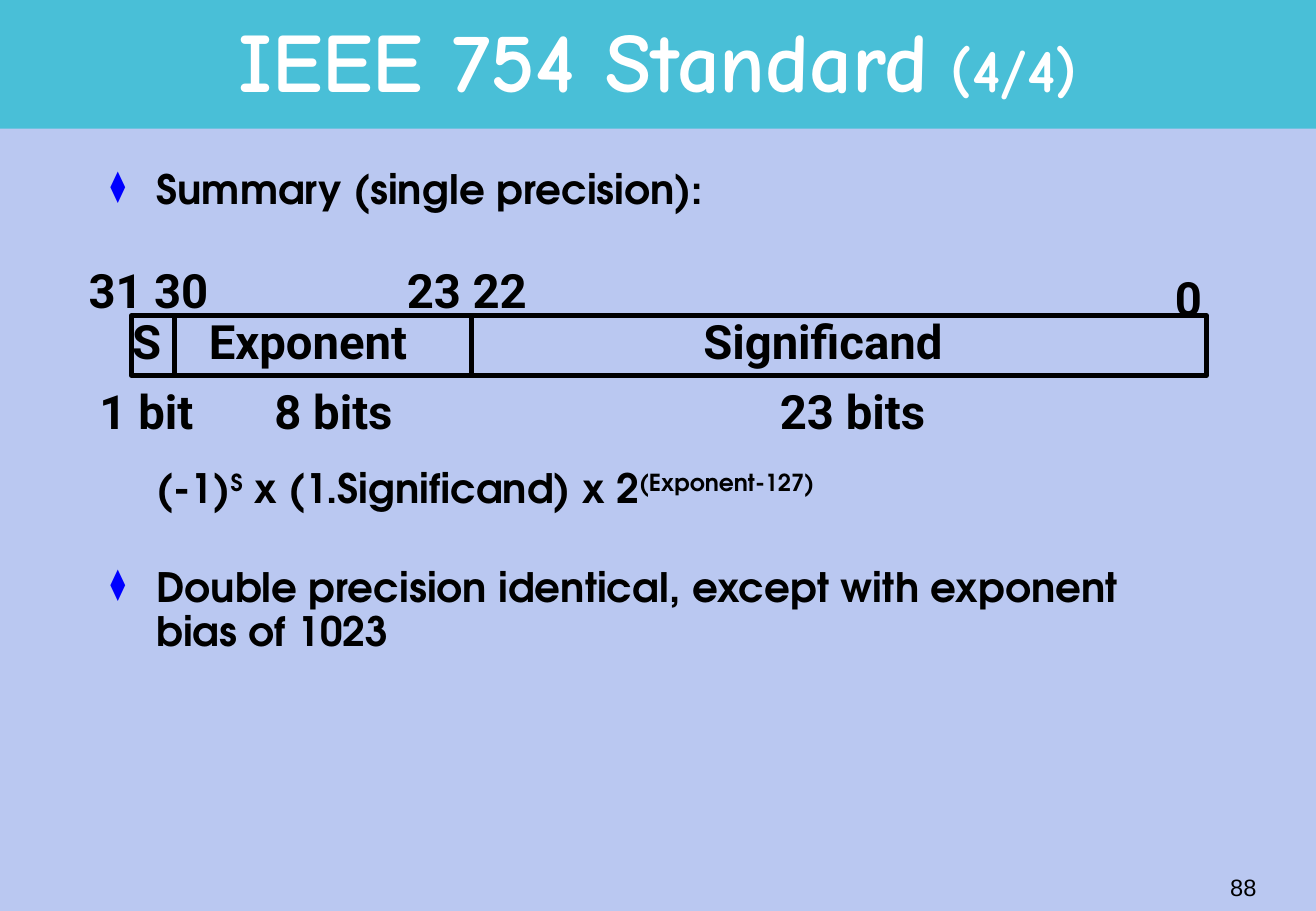
import pptx
import pptx.dml.color
import pptx.enum.shapes
import pptx.enum.text
import pptx.oxml.ns
import pptx.util
from lxml import etree

SCALE = 9144  # 100 px to the inch
WIDTH, HEIGHT = 1083, 750
ALIGN = pptx.enum.text.PP_ALIGN
ANCHOR = pptx.enum.text.MSO_ANCHOR
HEADING, BODY, LABEL = "Comic Neue", "TeX Gyre Adventor", "Roboto"


def px(length):
    return pptx.util.Emu(length * SCALE)


def color(value):
    return pptx.dml.color.RGBColor.from_string(value)


def add_box(page, box, anchor=ANCHOR.TOP, wrap=True):
    frame = page.shapes.add_textbox(*map(px, box)).text_frame
    frame.word_wrap = wrap
    frame.vertical_anchor = anchor
    return frame


def add_text(para, text, font=BODY, size=24, fill="000000", bold=True, raised=False):
    span = para.add_run()
    span.text = text
    span.font.name = font
    span.font.size = pptx.util.Pt(size)
    span.font.bold = bold
    span.font.color.rgb = color(fill)
    if raised:
        span._r.get_or_add_rPr().set("baseline", "30000")


def add_rectangle(page, box, fill=None, line=None):
    shape = page.shapes.add_shape(pptx.enum.shapes.MSO_SHAPE.RECTANGLE, *map(px, box))
    shape.shadow.inherit = False
    if fill:
        shape.fill.solid()
        shape.fill.fore_color.rgb = color(fill)
    else:
        shape.fill.background()
    if line:
        shape.line.color.rgb = color(line)
        shape.line.width = pptx.util.Pt(3)
    else:
        shape.line.fill.background()


def add_divider(page, x, top, height):
    line = page.shapes.add_connector(
        pptx.enum.shapes.MSO_CONNECTOR.STRAIGHT, px(x), px(top), px(x), px(top + height))
    line.line.color.rgb = color("000000")
    line.line.width = pptx.util.Pt(3)
    etree.SubElement(line._element.spPr, pptx.oxml.ns.qn("a:effectLst"))


def set_indent(para, left, bullet=False):
    props = para._p.get_or_add_pPr()
    props.set("marL", str(px(left)))
    props.set("indent", str(px(-left if bullet else 0)))
    if bullet:
        tint = etree.SubElement(props, pptx.oxml.ns.qn("a:buClr"))
        etree.SubElement(tint, pptx.oxml.ns.qn("a:srgbClr"), val="0000FF")
        etree.SubElement(props, pptx.oxml.ns.qn("a:buSzPct"), val="75000")
        etree.SubElement(props, pptx.oxml.ns.qn("a:buChar"), char="⧫")
    else:
        etree.SubElement(props, pptx.oxml.ns.qn("a:buNone"))


def title_band(page, box):
    left, top, width, height = box
    add_rectangle(page, box, fill="49BFD7")
    frame = add_box(page, (left + 81, top + 5, width - 162, height - 7), ANCHOR.MIDDLE)
    para = frame.paragraphs[0]
    para.alignment = ALIGN.CENTER
    para.line_spacing = 0.85
    add_text(para, "IEEE 754 Standard", font=HEADING, size=50, fill="FFFFFF")
    add_text(para, " (4/4)", font=HEADING, size=36, fill="FFFFFF")


def bit_layout(page, box):
    left, top, width, height = box
    add_rectangle(page, box, line="000000")
    for offset in (36, 280):
        add_divider(page, left + offset, top, height)
    # Rows of labels: offset from the top, then (text, offset from the left, width)
    rows = (
        (-50, (("31", -45, 69), ("30", 9, 69), ("23", 217, 69), ("22", 271, 69))),
        (-43, (("0", 849, 45),)),
        (-8, (("S", -9, 50), ("Exponent", 54, 214), ("Significand", 461, 230))),
        (50, (("1 bit", -36, 109), ("8 bits", 108, 132), ("23 bits", 524, 156))),
    )
    for drop, labels in rows:
        for text, offset, label_width in labels:
            frame = add_box(page, (left + offset, top + drop, label_width, 57), wrap=False)
            add_text(frame.paragraphs[0], text, font=LABEL, size=28)


def summary(page, box):
    frame = add_box(page, box)
    # Each entry: bulleted, space before in points, (text, raised) spans
    entries = (
        (True, 0, (("Summary (single precision):", False),)),
        (False, 151, (("(-1)", False), ("S", True),
                      (" x (1.Significand) x 2", False), ("(Exponent-127)", True))),
        (True, 33, (("Double precision identical, except with exponent bias of 1023", False),)),
    )
    for index, (bullet, space, spans) in enumerate(entries):
        para = frame.add_paragraph() if index else frame.paragraphs[0]
        set_indent(para, 38, bullet)
        para.line_spacing = 0.9
        para.space_before = pptx.util.Pt(space)
        for text, raised in spans:
            add_text(para, text, raised=raised)


def page_number(page, box):
    para = add_box(page, box, ANCHOR.MIDDLE, wrap=False).paragraphs[0]
    para.alignment = ALIGN.RIGHT
    add_text(para, "88", font="Arial", size=14, bold=False)


def main():
    deck = pptx.Presentation()
    deck.slide_width, deck.slide_height = px(WIDTH), px(HEIGHT)
    page = deck.slides.add_slide(deck.slide_layouts[6])
    page.background.fill.solid()
    page.background.fill.fore_color.rgb = color("BAC8F1")
    title_band(page, (0, 0, WIDTH, 106))
    bit_layout(page, (108, 260, 885, 49))
    summary(page, (81, 135, 921, 556))
    page_number(page, (818, 705, 226, 50))
    deck.save("out.pptx")


if __name__ == "__main__":
    main()
